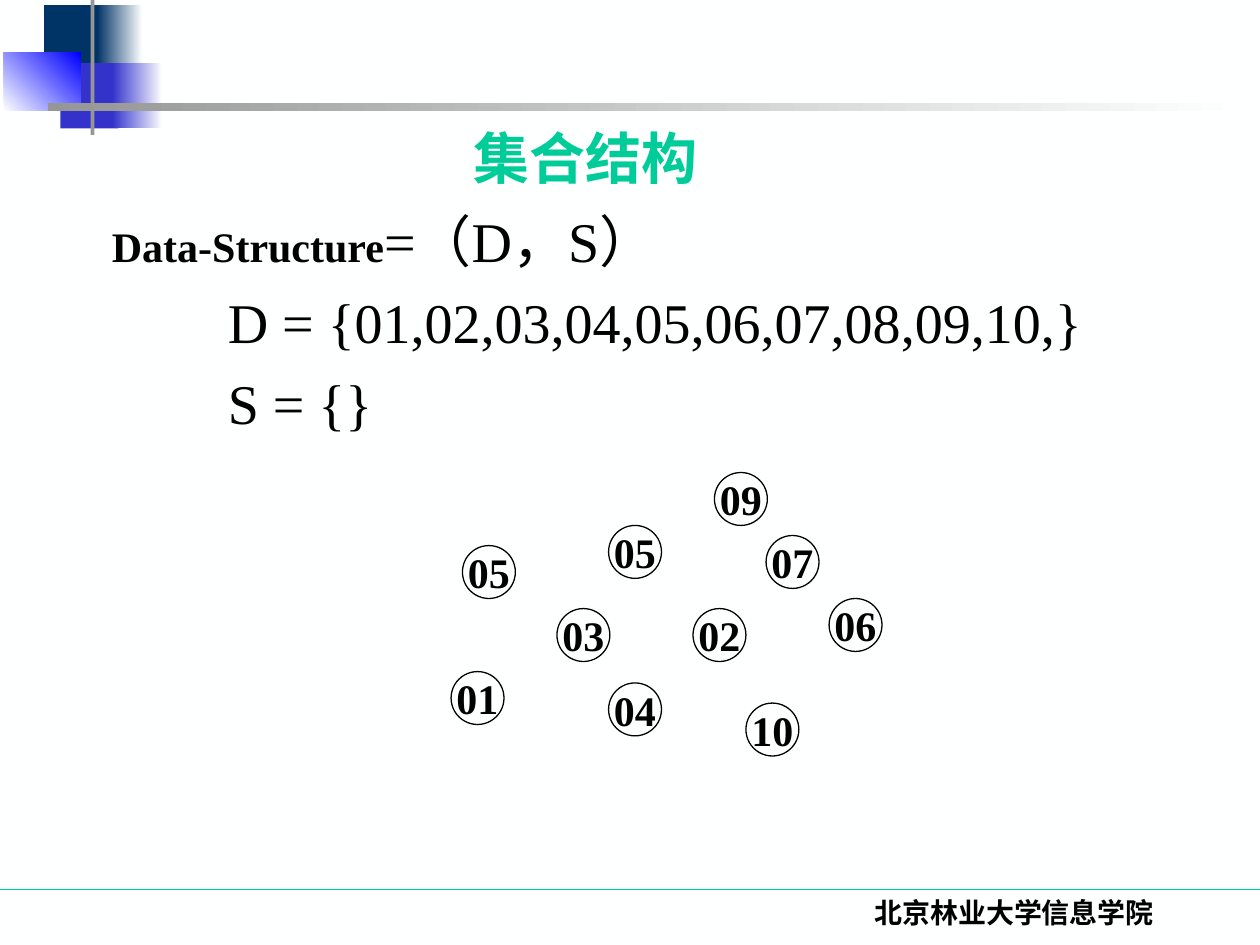
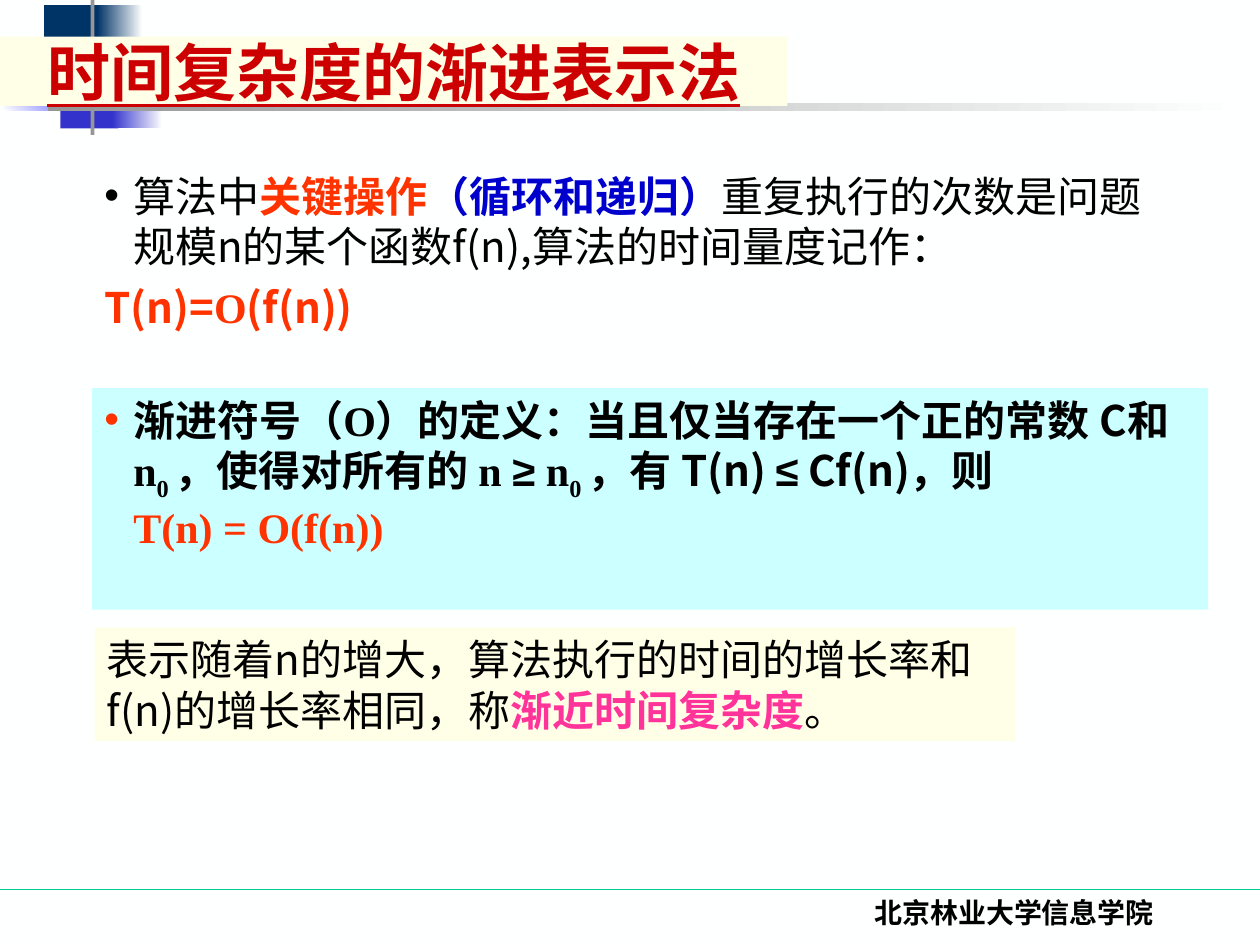
"""Builds two slides on set structure and asymptotic time complexity."""
from lxml import etree
from pptx import Presentation, util as u
from pptx.dml.color import RGBColor
from pptx.enum import shapes, text
from pptx.oxml.ns import qn

PX = 9144
SERIF, SANS, SYMBOL = "Times New Roman", "Noto Sans CJK SC", "Arial"
PAPER, BLACK, GREEN, GREY = "FEFFFF", "000000", "00CC99", "969696"
NAVY, INDIGO, BLUE = "003366", "3333CC", "0000FF"
CREAM, CYAN, ORANGE = "FFFFE7", "CCFFFF", "FF3300"
LEFT, CENTER = text.PP_ALIGN.LEFT, text.PP_ALIGN.CENTER
TOP, MIDDLE = text.MSO_ANCHOR.TOP, text.MSO_ANCHOR.MIDDLE


def px(*lengths):
    """Turn px lengths into EMU."""
    return [u.Emu(length * PX) for length in lengths]


def color(value):
    """Turn a hex string into a colour."""
    return RGBColor.from_string(value)


def add_block(page, at, fill=None, fade_to=None, angle=0,
              kind=shapes.MSO_SHAPE.RECTANGLE):
    """Add a borderless shape with a plain, faded or empty fill."""
    block = page.shapes.add_shape(kind, *px(*at))
    block.shadow.inherit = False
    block.line.fill.background()
    if fade_to:
        block.fill.gradient()
        block.fill.gradient_angle = angle
        for stop, value in zip(block.fill.gradient_stops, (fill, fade_to)):
            stop.color.rgb = color(value)
    elif fill:
        block.fill.solid()
        block.fill.fore_color.rgb = color(fill)
    else:
        block.fill.background()
    return block


def add_box(page, at):
    """Add an empty text box."""
    return page.shapes.add_textbox(*px(*at))


def add_line(page, start, end, value):
    """Add a thin straight line."""
    line = page.shapes.add_connector(
        shapes.MSO_CONNECTOR.STRAIGHT, *px(*start, *end))
    line.line.color.rgb = color(value)
    line.line.width = u.Pt(0.75)
    etree.SubElement(line._element.spPr, qn("a:effectLst"))


def add_span(para, words, size=24, font=SANS, ink=BLACK, bold=False,
             underline=False, base=0):
    """Add one run of text."""
    span = para.add_run()
    span.text = words
    span.font.size = u.Pt(size)
    span.font.name = font
    span.font.bold = bold
    span.font.underline = underline
    span.font.color.rgb = color(ink)
    props = span._r.get_or_add_rPr()
    if base:
        props.set("baseline", str(base * 1000))
    etree.SubElement(props, qn("a:ea")).set("typeface", SANS)


def add_para(box, spans, align=LEFT, before=0, margin=0, bullet=None):
    """Add a paragraph of runs, where None stands for a line break."""
    frame = box.text_frame
    para = frame.paragraphs[0]
    if para.runs:
        para = frame.add_paragraph()
    para.alignment = align
    para.space_before = u.Pt(before)
    props = para._p.get_or_add_pPr()
    props.set("marL", str(margin * PX))
    props.set("indent", str(-margin * PX if bullet else 0))
    if bullet:
        tint = etree.SubElement(props, qn("a:buClr"))
        etree.SubElement(tint, qn("a:srgbClr")).set("val", bullet)
        etree.SubElement(props, qn("a:buFont")).set("typeface", SYMBOL)
        etree.SubElement(props, qn("a:buChar")).set("char", "•")
    for span in spans:
        if span is None:
            para.add_line_break()
        else:
            words, style = span
            add_span(para, words, **style)


def set_frame(box, anchor=TOP, wrap=True):
    """Set how a box places its text."""
    box.text_frame.word_wrap = wrap
    box.text_frame.vertical_anchor = anchor


def add_page(deck):
    """Add a slide with the shared corner ornament and footer."""
    page = deck.slides.add_slide(deck.slide_layouts[6])
    page.background.fill.solid()
    page.background.fill.fore_color.rgb = color(PAPER)
    add_line(page, (0, 706), (1000, 706), GREEN)
    add_block(page, (35, 4, 48, 52), NAVY)
    add_block(page, (77, 4, 36, 52), NAVY, PAPER)
    add_block(page, (48, 50, 46, 52), INDIGO)
    add_block(page, (89, 50, 40, 52), INDIGO, PAPER)
    add_block(page, (3, 42, 61, 46), PAPER, BLUE, angle=45)
    add_block(page, (72, -8, 3, 115), GREY)
    add_block(page, (38, 82, 951, 6), GREY, PAPER)
    footer = add_box(page, (598, 706, 414, 50))
    set_frame(footer)
    add_para(footer, [("北京林业大学信息学院",
                       dict(size=16, font=SERIF, bold=True))], CENTER)
    return page


def add_node(page, left, top, label):
    """Add a numbered circle."""
    node = add_block(page, (left, top, 42, 42),
                     kind=shapes.MSO_SHAPE.FLOWCHART_CONNECTOR)
    node.line.color.rgb = color(BLACK)
    node.line.width = u.Pt(0.75)
    set_frame(node, MIDDLE, wrap=False)
    add_para(node, [(label, dict(font=SERIF, bold=True))], CENTER)


def build_set_page(deck):
    """Build the slide on set structure."""
    page = add_page(deck)
    title = add_box(page, (115, 87, 700, 75))
    set_frame(title, MIDDLE)
    add_para(title, [("集合结构", dict(size=32, font=SERIF, ink=GREEN,
                                   bold=True))], CENTER)
    formula = dict(size=32, font=SERIF)
    box = add_box(page, (71, 159, 873, 209))
    set_frame(box)
    add_para(box, [("Data-Structure", dict(font=SERIF, bold=True)),
                   ("=（D，S）", formula)], margin=8)
    for line in ("D = {01,02,03,04,05,06,07,08,09,10,}", "S = {}"):
        add_para(box, [(line, formula)], before=8, margin=100)
    nodes = [(367, 433, "05"), (358, 533, "01"), (442, 483, "03"),
             (483, 417, "05"), (550, 483, "02"), (608, 425, "07"),
             (483, 542, "04"), (658, 475, "06"), (567, 375, "09"),
             (592, 558, "10")]
    for left, top, label in nodes:
        add_node(page, left, top, label)


def build_complexity_page(deck):
    """Build the slide on asymptotic notation."""
    page = add_page(deck)
    plain, bold = dict(), dict(bold=True)
    serif = dict(font=SERIF, bold=True)
    symbol = dict(font=SYMBOL, bold=True)
    sub = dict(serif, base=-25)
    hot = dict(bold, ink=ORANGE)

    count = add_box(page, (73, 130, 851, 199))
    set_frame(count)
    add_para(count, [
        ("算法中", plain), ("关键操作", hot),
        ("（循环和递归）", dict(bold, ink="0000CC")),
        ("重复执行的次数是问题规模n的某个函数f(n),算法的时间量度记作：", plain),
    ], margin=23, bullet=BLACK)
    add_para(count, [("T(n)=", hot), ("O", dict(hot, font=SERIF)),
                     ("(f(n))", hot)], before=6)

    title = add_block(page, (0, 29, 625, 55), CREAM)
    set_frame(title, MIDDLE)
    add_para(title, [("时间复杂度的渐进表示法",
                      dict(size=36, ink="CC0000", bold=True,
                           underline=True))], CENTER)

    definition = add_block(page, (73, 308, 886, 176), CYAN)
    set_frame(definition)
    add_para(definition, [
        ("渐进符号（", bold), ("O", serif),
        ("）的定义：当且仅当存在一个正的常数 C和", bold),
        ("n", serif), ("0 ", sub), ("，使得对所有的 ", bold),
        ("n ", serif), ("≥", symbol), (" n", serif), ("0 ", sub),
        ("，有 T(n) ", bold), ("≤", symbol), (" Cf(n)，则", bold), None,
        ("T(n) = O(f(n))", dict(serif, ink=ORANGE)),
    ], margin=23, bullet=ORANGE)

    meaning = add_block(page, (75, 498, 731, 90), CREAM)
    set_frame(meaning)
    add_para(meaning, [
        ("表示随着n的增大，算法执行的时间的增长率和f(n)的增长率相同，称", plain),
        ("渐近时间复杂度", dict(bold, ink="FF3399")), ("。", plain),
    ])


def main():
    """Build and save the deck."""
    deck = Presentation()
    deck.slide_width, deck.slide_height = px(1000, 750)
    build_set_page(deck)
    build_complexity_page(deck)
    deck.save("out.pptx")


if __name__ == "__main__":
    main()
